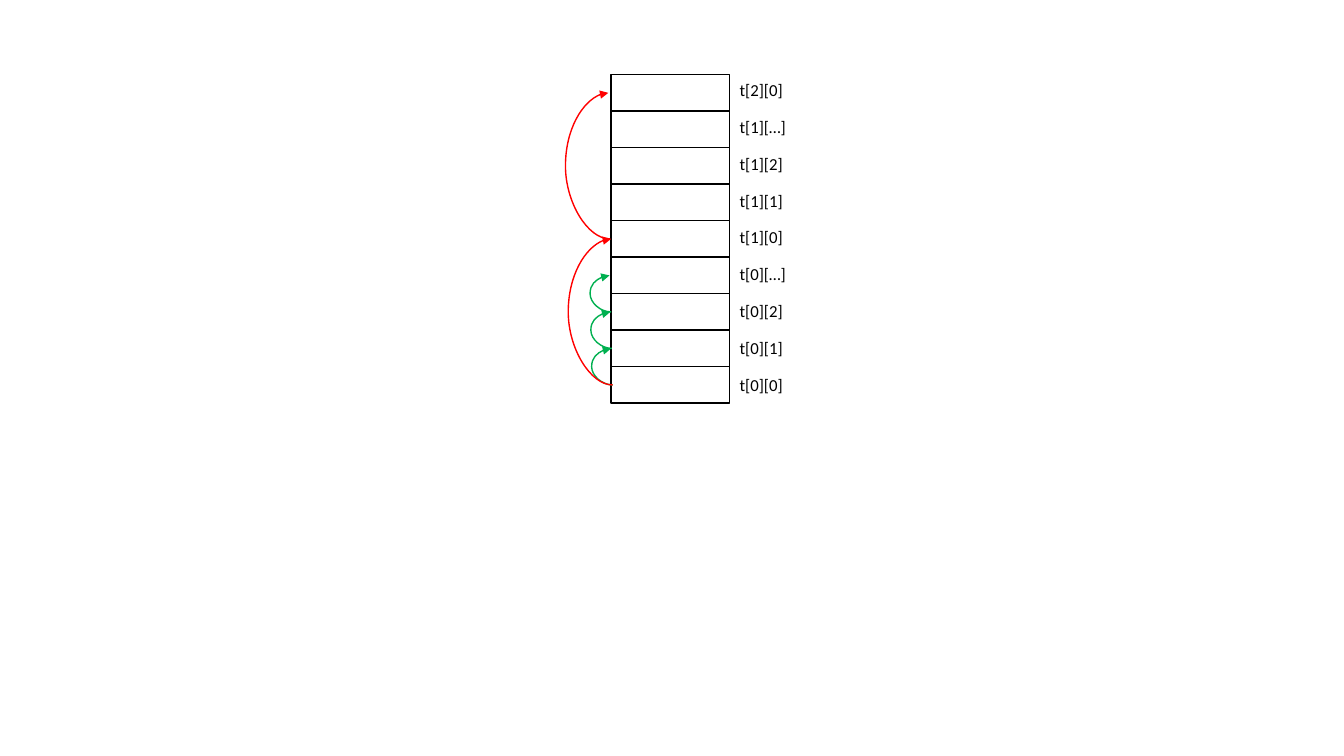
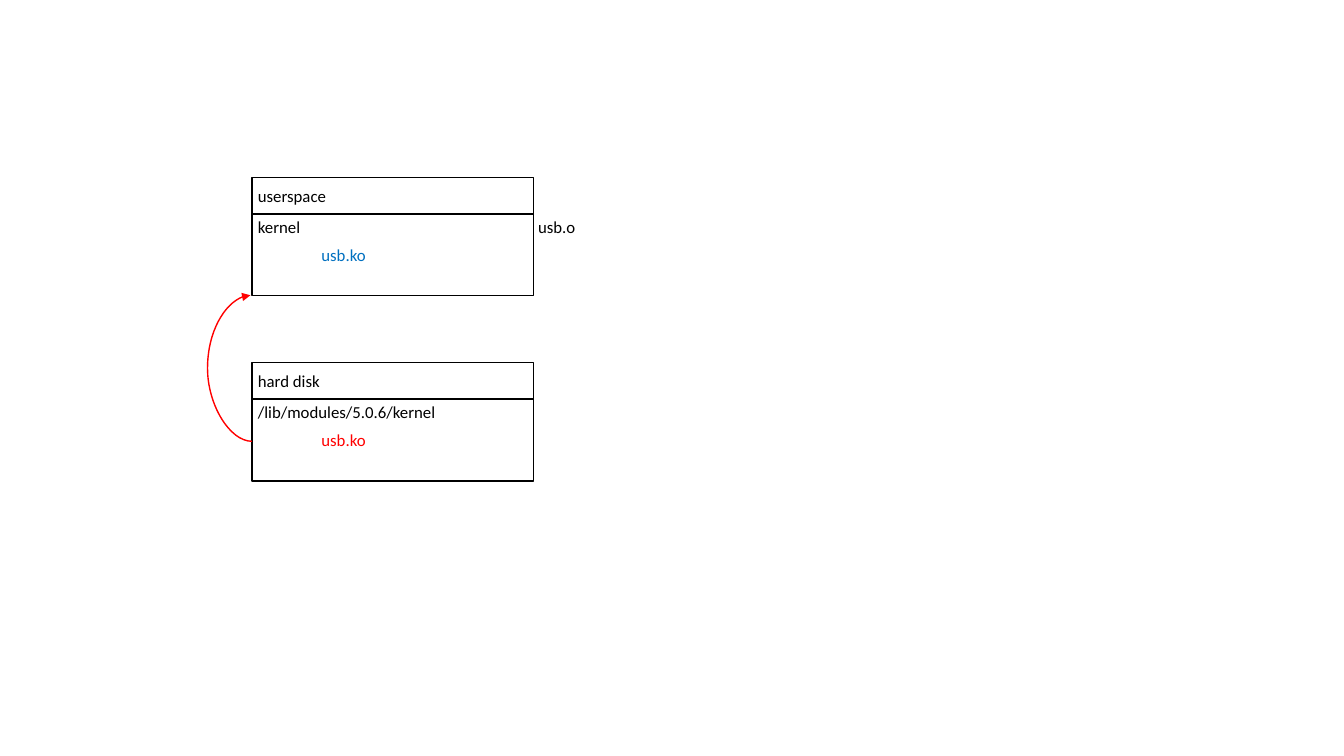
from lxml import etree
from pptx import Presentation
from pptx.dml.color import RGBColor
from pptx.enum import shapes, text
from pptx.oxml import ns
from pptx.util import Cm, Pt

BLACK = RGBColor(0x00, 0x00, 0x00)
WHITE = RGBColor(0xFF, 0xFF, 0xFF)
RED = RGBColor(0xFF, 0x00, 0x00)
GREEN = RGBColor(0x00, 0xB0, 0x50)
BLUE = RGBColor(0x00, 0x70, 0xC0)

ROW = 0.92
DRIFT = 0.04
RED_BULGE = 1.12
GREEN_BULGE = 0.53


class Deck:
    font = "Calibri"
    size = Pt(12)
    stroke = Pt(1)

    def __init__(self):
        self.prs = Presentation()
        self.prs.slide_width = Cm(33.87)
        self.prs.slide_height = Cm(19.05)
        self.slide = None

    def new_slide(self):
        self.slide = self.prs.slides.add_slide(self.prs.slide_layouts[6])

    def box(self, left, top, width, height):
        cell = self.slide.shapes.add_shape(
            shapes.MSO_SHAPE.RECTANGLE, Cm(left), Cm(top), Cm(width), Cm(height))
        cell.shadow.inherit = False
        cell.fill.solid()
        cell.fill.fore_color.rgb = WHITE
        cell.line.color.rgb = BLACK
        cell.line.width = self.stroke

    def label(self, words, left, top, width=1.9, color=BLACK):
        caption = self.slide.shapes.add_textbox(
            Cm(left), Cm(top), Cm(width), Cm(0.76))
        frame = caption.text_frame
        frame.word_wrap = True
        frame.auto_size = text.MSO_AUTO_SIZE.SHAPE_TO_FIT_TEXT
        run = frame.paragraphs[0].add_run()
        run.text = words
        run.font.name = self.font
        run.font.size = self.size
        run.font.color.rgb = color

    def jump(self, left, bottom, rise, bulge, color):
        arc = self.slide.shapes.add_connector(
            shapes.MSO_CONNECTOR.CURVE,
            Cm(left - DRIFT), Cm(bottom - rise), Cm(left), Cm(bottom))
        arc.line.color.rgb = color
        arc.line.width = self.stroke
        properties = arc.element.spPr
        properties.find(ns.qn("a:xfrm")).set("rot", "10800000")
        guides = properties.find(ns.qn("a:prstGeom")).find(ns.qn("a:avLst"))
        etree.SubElement(guides, ns.qn("a:gd"), name="adj1",
                         fmla=f"val {round(bulge / DRIFT * 100000)}")
        etree.SubElement(properties.find(ns.qn("a:ln")),
                         ns.qn("a:tailEnd"), type="triangle")
        etree.SubElement(properties, ns.qn("a:effectLst"))

    def panel(self, top, heading, body, module_color):
        self.box(6.35, top, 7.1, ROW)
        self.box(6.35, top + ROW, 7.1, 2.06)
        self.label(heading, 6.25, top + 0.08, 2.85)
        self.label(body, 6.25, top + 0.86, 5.2)
        self.label("usb.ko", 7.85, top + 1.57, color=module_color)

    def save(self):
        self.prs.save("out.pptx")


def array_slide(deck):
    deck.new_slide()
    top = 1.88
    elements = ["t[2][0]", "t[1][…]", "t[1][2]", "t[1][1]", "t[1][0]",
                "t[0][…]", "t[0][2]", "t[0][1]", "t[0][0]"]
    for index, element in enumerate(elements):
        deck.box(15.4, top + index * ROW, 2.98, ROW)
        deck.label(element, 18.39, top + index * 0.93)
    first_middle = top + (len(elements) - 0.5) * ROW
    for step in range(3):
        deck.jump(15.44 - step * 0.02, first_middle - step * ROW,
                  ROW, GREEN_BULGE, GREEN)
    for step in range(2):
        deck.jump(15.44 - step * 0.07, first_middle - step * 4 * ROW,
                  4 * ROW, RED_BULGE, RED)


def module_slide(deck):
    deck.new_slide()
    deck.panel(4.47, "userspace", "kernel", BLUE)
    deck.label("usb.o", 13.31, 5.33)
    deck.panel(9.14, "hard disk", "/lib/modules/5.0.6/kernel", RED)
    deck.jump(6.35, 11.12, 4 * ROW, RED_BULGE, RED)


def main():
    deck = Deck()
    array_slide(deck)
    module_slide(deck)
    deck.save()


if __name__ == "__main__":
    main()
